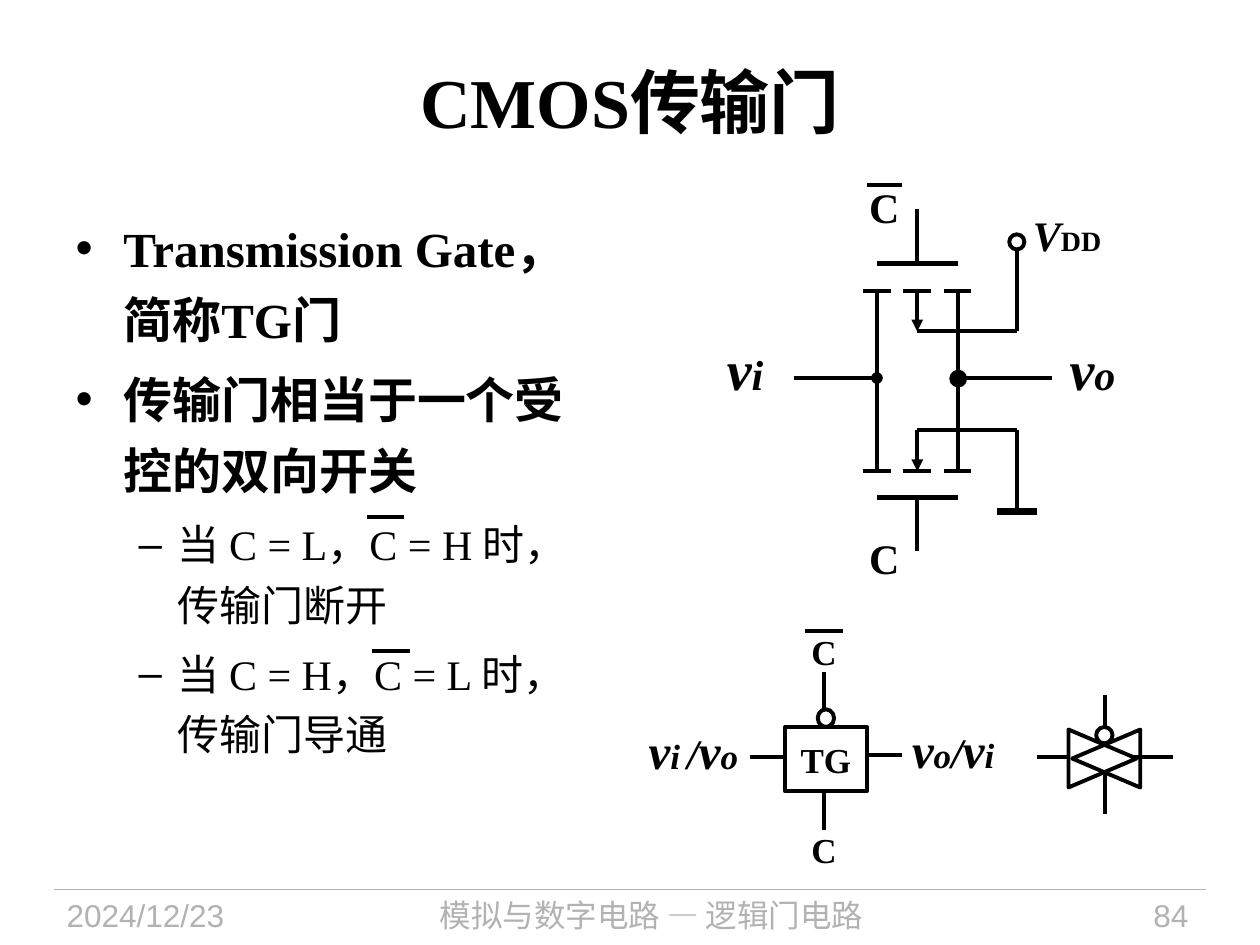
"""Build the slide on the CMOS transmission gate."""
from lxml import etree
from pptx import Presentation
from pptx import util as u
from pptx.dml.color import RGBColor
from pptx.enum import shapes, text
from pptx.oxml.ns import qn

BLACK, WHITE, GREY = "000000", "FFFFFF", "B2B2B2"
SERIF, SANS = "Times New Roman", "Arial"
LEFT, CENTER, RIGHT = text.PP_ALIGN.LEFT, text.PP_ALIGN.CENTER, text.PP_ALIGN.RIGHT
OVAL, RECT, TRIANGLE = (shapes.MSO_SHAPE.OVAL, shapes.MSO_SHAPE.RECTANGLE,
                        shapes.MSO_SHAPE.ISOSCELES_TRIANGLE)

TITLE = "CMOS传输门"
BODY = [
    (0, "Transmission Gate，简称TG门"),
    (0, "传输门相当于一个受控的双向开关"),
    (1, "当 C = L，C = H 时，传输门断开"),
    (1, "当 C = H，C = L 时，传输门导通"),
]
LEVELS = [
    dict(bullet="•", margin=0.38, hang=0.38, size=28, bold=True),
    dict(bullet="–", margin=0.81, hang=0.31, size=24, bold=False),
]
FOOTER = [
    ("2024/12/23", 0.43, 1.88, LEFT),
    ("模拟与数字电路 — 逻辑门电路", 2.49, 5.36, CENTER),
    ("84", 8.2, 1.33, RIGHT),
]
FOOT_TOP, FOOT_HEIGHT = 7.06, 0.44

# runs are (text, size, italic)
LABELS = [
    ([("V", 24, True), ("DD", 16, False)], (8.1, 1.61, 0.74, 0.5)),
    ([("C", 24, False)], (6.8, 1.39, 0.44, 0.5)),
    ([("C", 24, False)], (6.8, 4.18, 0.44, 0.5)),
    ([("v", 32, True), ("i", 24, True)], (5.67, 2.61, 0.49, 0.63)),
    ([("v", 32, True), ("o", 24, True)], (8.39, 2.61, 0.57, 0.63)),
    ([("v", 28, True), ("i", 20, True), (" ", 16, True), ("/", 24, True),
      ("v", 28, True), ("o", 20, True)], (5.05, 5.67, 0.91, 0.57)),
    ([("v", 28, True), ("o", 20, True), ("/", 24, True),
      ("v", 28, True), ("i", 20, True)], (7.14, 5.66, 0.86, 0.57)),
]
SYMBOL_LABELS = [("C", 6.44, 5.04), ("C", 6.44, 6.61)]

SOURCE, GATE, DRAIN, RAIL = 6.96, 7.28, 7.6, 8.07
MIDDLE = 3
TRANSISTORS = [
    dict(lead=1.66, plate=2.09, contact=2.31, bulk=2.63),
    dict(lead=4.37, plate=3.95, contact=3.74, bulk=3.41),
]
SUPPLY, GROUND = 1.98, 4.06
OVERBARS = [(6.88, 7.16, 1.47), (6.39, 6.69, 5.01), (2.91, 3.21, 4.1), (2.95, 3.25, 5.17)]
BLOCK_LEADS = [(6.54, 5.33, 6.54, 5.63), (6.54, 6.29, 6.54, 6.59),
               (5.95, 6.01, 6.24, 6.01), (6.88, 5.99, 7.16, 5.99)]
SYMBOL_LEADS = [(8.23, 6.01, 8.52, 6.01), (8.99, 6.01, 9.31, 6.01),
                (8.77, 5.52, 8.77, 5.78), (8.77, 6.13, 8.77, 6.46)]


def rgb(value):
    """Turn a hex string into a colour."""
    return RGBColor.from_string(value)


def add_run(p, content, size=24, font=SERIF, color=BLACK, bold=True, italic=False):
    """Add one formatted run to a paragraph."""
    r = p.add_run()
    r.text = content
    r.font.name, r.font.size = font, u.Pt(size)
    r.font.bold, r.font.italic = bold, italic
    r.font.color.rgb = rgb(color)


def place(sp, box):
    """Move a shape to a box given in inches."""
    sp.left, sp.top, sp.width, sp.height = (u.Inches(v) for v in box)


def add_label(s, runs, box, align=LEFT, wrap=False, inset=None, spacing=None, **fmt):
    """Add a text box of (text, size, italic) runs."""
    tf = s.shapes.add_textbox(*(u.Inches(v) for v in box)).text_frame
    tf.word_wrap = wrap
    if inset is not None:
        tf.margin_left = tf.margin_right = tf.margin_top = tf.margin_bottom = inset
    p = tf.paragraphs[0]
    p.alignment, p.line_spacing = align, spacing
    for content, size, italic in runs:
        add_run(p, content, size=size, italic=italic, **fmt)


def add_line(s, x1, y1, x2, y2, width=2.25, color=BLACK, end=None):
    """Add a straight line, with an optional mark at its end."""
    c = s.shapes.add_connector(shapes.MSO_CONNECTOR.STRAIGHT,
                               *(u.Inches(v) for v in (x1, y1, x2, y2)))
    c.line.width, c.line.color.rgb = u.Pt(width), rgb(color)
    if end:
        etree.SubElement(c.line._get_or_add_ln(), qn("a:tailEnd"), type=end)
    etree.SubElement(c._element.spPr, qn("a:effectLst"))


def add_outline(s, kind, box, fill=None, rotation=0):
    """Add a black-outlined preset shape."""
    sp = s.shapes.add_shape(kind, *(u.Inches(v) for v in box))
    sp.shadow.inherit = False
    sp.rotation = rotation
    sp.line.width, sp.line.color.rgb = u.Pt(2.25), rgb(BLACK)
    if fill:
        sp.fill.solid()
        sp.fill.fore_color.rgb = rgb(fill)
    else:
        sp.fill.background()
    return sp


def add_body(s):
    """Fill the title and the bulleted list."""
    title, body = s.shapes.title, s.placeholders[1]
    place(title, (0.5, 0.17, 9, 1.25))
    title.text_frame.vertical_anchor = text.MSO_ANCHOR.MIDDLE
    p = title.text_frame.paragraphs[0]
    p.alignment = CENTER
    add_run(p, TITLE, size=40)
    place(body, (0.5, 1.59, 4.26, 5.39))
    tf = body.text_frame
    tf.auto_size = text.MSO_AUTO_SIZE.NONE
    for i, (level, content) in enumerate(BODY):
        p = tf.add_paragraph() if i else tf.paragraphs[0]
        fmt = LEVELS[level]
        p.level, p.line_spacing = level, 1.2
        p.space_before, p.space_after = u.Pt(0), u.Pt(fmt["size"] * 0.2)
        pPr = p._p.get_or_add_pPr()
        pPr.set("marL", str(u.Inches(fmt["margin"])))
        pPr.set("indent", str(-u.Inches(fmt["hang"])))
        etree.SubElement(pPr, qn("a:buChar"), char=fmt["bullet"])
        add_run(p, content, size=fmt["size"], bold=fmt["bold"])


def add_footer(s):
    """Add the rule and the three footer texts."""
    add_line(s, 0.43, FOOT_TOP, 9.57, FOOT_TOP, width=0.75, color=GREY)
    for content, left, width, align in FOOTER:
        add_label(s, [(content, 18, False)], (left, FOOT_TOP, width, FOOT_HEIGHT),
                  align=align, wrap=True, font=SANS, color=GREY, bold=False)


def add_transistor(s, lead, plate, contact, bulk):
    """Draw one transistor and its wires to the channel middle."""
    for x in (SOURCE, GATE, DRAIN):
        add_line(s, x - 0.11, contact, x + 0.11, contact)
    add_line(s, SOURCE, plate, DRAIN, plate, width=3)
    add_line(s, GATE, lead, GATE, plate)
    add_line(s, GATE, min(contact, bulk), GATE, max(contact, bulk), end="triangle")
    add_line(s, GATE, bulk, RAIL, bulk)
    for x in (SOURCE, DRAIN):
        add_line(s, x, contact, x, MIDDLE)


def add_circuit(s):
    """Draw the transistor circuit of the gate."""
    for transistor in TRANSISTORS:
        add_transistor(s, **transistor)
    upper, lower = TRANSISTORS
    add_line(s, RAIL, SUPPLY, RAIL, upper["bulk"])
    add_line(s, RAIL, lower["bulk"], RAIL, GROUND)
    add_line(s, RAIL - 0.16, GROUND, RAIL + 0.16, GROUND, width=4.5)
    add_outline(s, OVAL, (RAIL - 0.06, 1.86, 0.12, 0.12))
    add_line(s, 6.3, MIDDLE, SOURCE, MIDDLE, end="oval")
    add_line(s, 8.35, MIDDLE, DRAIN, MIDDLE, end="oval")
    add_outline(s, OVAL, (DRAIN - 0.05, MIDDLE - 0.05, 0.11, 0.11), fill=BLACK)


def add_symbols(s):
    """Draw the block symbol and the bow-tie symbol."""
    for lead in BLOCK_LEADS + SYMBOL_LEADS:
        add_line(s, *lead)
    add_outline(s, OVAL, (6.49, 5.63, 0.13, 0.14))
    tf = add_outline(s, RECT, (6.23, 5.77, 0.65, 0.51)).text_frame
    tf.word_wrap, tf.vertical_anchor = False, text.MSO_ANCHOR.MIDDLE
    tf.paragraphs[0].alignment = CENTER
    add_run(tf.paragraphs[0], "TG", size=20)
    add_outline(s, OVAL, (8.7, 5.77, 0.13, 0.13))
    add_outline(s, TRIANGLE, (8.52, 5.75, 0.46, 0.54), fill=WHITE, rotation=90)
    add_outline(s, TRIANGLE, (8.55, 5.75, 0.46, 0.54), rotation=270)
    for content, left, top in SYMBOL_LABELS:
        add_label(s, [(content, 20, False)], (left, top, 0.2, 0.21),
                  align=CENTER, wrap=True, inset=0, spacing=0.9)


def main():
    """Assemble and save the slide."""
    prs = Presentation()
    prs.slide_width, prs.slide_height = u.Inches(10), u.Inches(7.5)
    s = prs.slides.add_slide(prs.slide_layouts[1])
    add_footer(s)
    add_body(s)
    add_circuit(s)
    add_symbols(s)
    for runs, box in LABELS:
        add_label(s, runs, box)
    for x1, x2, y in OVERBARS:
        add_line(s, x1, y, x2, y)
    prs.save("out.pptx")


if __name__ == "__main__":
    main()
